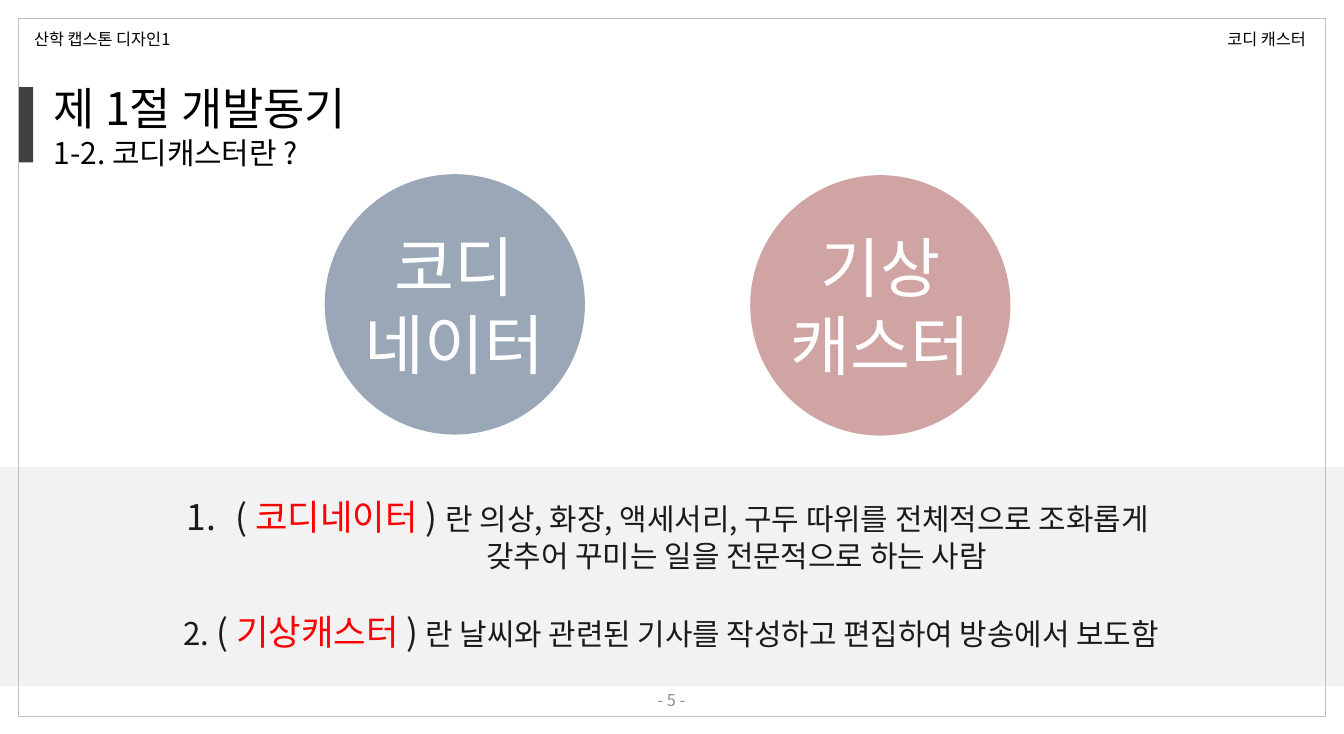
"""Builds the slide that explains what the Codi Caster is."""
from dataclasses import dataclass

from lxml import etree
from pptx import Presentation
from pptx.dml.color import RGBColor
from pptx.enum.shapes import MSO_SHAPE
from pptx.enum.text import MSO_ANCHOR, PP_ALIGN
from pptx.oxml.ns import qn
from pptx.util import Inches, Pt

RECT, OVAL = MSO_SHAPE.RECTANGLE, MSO_SHAPE.OVAL
LEFT, CENTER = PP_ALIGN.LEFT, PP_ALIGN.CENTER
TOP, MIDDLE = MSO_ANCHOR.TOP, MSO_ANCHOR.MIDDLE

WHITE = RGBColor(0xFF, 0xFF, 0xFF)
BLACK = RGBColor(0x00, 0x00, 0x00)
INK = RGBColor(0x1A, 0x1A, 0x1A)
RED = RGBColor(0xFF, 0x00, 0x00)
PALE = RGBColor(0xF2, 0xF2, 0xF2)
DARK = RGBColor(0x40, 0x40, 0x40)
SILVER = RGBColor(0xBF, 0xBF, 0xBF)
GRAY = RGBColor(0x8C, 0x8C, 0x8C)
NAVY = RGBColor(0x25, 0x40, 0x61)
WINE = RGBColor(0x95, 0x37, 0x35)

FONT = "Noto Sans CJK KR"
WIDTH, HEIGHT = Inches(13.74), Inches(7.5)
COL, ROW = WIDTH / 100, HEIGHT / 100


@dataclass
class Area:
    col: float
    row: float
    cols: float
    rows: float

    def box(self) -> tuple[int, int, int, int]:
        return (int(self.col * COL), int(self.row * ROW),
                int(self.cols * COL), int(self.rows * ROW))


@dataclass
class Span:
    text: str
    size: float
    color: RGBColor = BLACK


@dataclass
class Line:
    spans: list[Span]
    align: PP_ALIGN = LEFT
    before: float = 0
    margin: float = 0
    number: bool = False


@dataclass
class Block:
    area: Area
    lines: list[Line]
    anchor: MSO_ANCHOR = TOP


@dataclass
class Disc:
    area: Area
    color: RGBColor
    alpha: int
    words: list[str]


def write(frame, lines: list[Line]) -> None:
    for i, line in enumerate(lines):
        para = frame.add_paragraph() if i else frame.paragraphs[0]
        para.alignment = line.align
        para.space_before = Pt(line.before)
        props = para._p.get_or_add_pPr()
        if line.margin:
            props.set("marL", str(Inches(line.margin)))
            props.set("indent", str(-Inches(line.margin) if line.number else 0))
        if line.number:
            etree.SubElement(props, qn("a:buFont"), typeface="+mj-lt")
            etree.SubElement(props, qn("a:buAutoNum"), type="arabicPeriod")
        for span in line.spans:
            run = para.add_run()
            run.text = span.text
            run.font.size = Pt(span.size)
            run.font.color.rgb = span.color
            run.font.name = FONT
            etree.SubElement(run._r.get_or_add_rPr(), qn("a:ea"), typeface=FONT)


def add_shape(slide, kind: MSO_SHAPE, area: Area, fill: RGBColor | None = None,
              edge: RGBColor | None = None):
    shape = slide.shapes.add_shape(kind, *area.box())
    shape.shadow.inherit = False
    if fill is None:
        shape.fill.background()
    else:
        shape.fill.solid()
        shape.fill.fore_color.rgb = fill
    if edge is None:
        shape.line.fill.background()
    else:
        shape.line.color.rgb = edge
        shape.line.width = Pt(1)
    return shape


def add_disc(slide, disc: Disc) -> None:
    shape = add_shape(slide, OVAL, disc.area, disc.color)
    tint = shape._element.spPr.find(qn("a:solidFill"))[0]
    etree.SubElement(tint, qn("a:alpha"), val=str(disc.alpha * 1000))
    frame = shape.text_frame
    frame.word_wrap = False
    frame.vertical_anchor = MIDDLE
    write(frame, [Line([Span(word, 48, WHITE)], CENTER) for word in disc.words])


def add_block(slide, block: Block) -> None:
    frame = slide.shapes.add_textbox(*block.area.box()).text_frame
    frame.word_wrap = True
    frame.vertical_anchor = block.anchor
    write(frame, block.lines)


DISCS = [
    Disc(Area(24.16, 23.73, 19.36, 35.47), NAVY, 46, ["코디", "네이터"]),
    Disc(Area(55.82, 23.87, 19.36, 35.47), WINE, 45, ["기상", "캐스터"]),
]

TERMS = [
    Line([Span("( ", 26, INK), Span("코디네이터 ", 26, RED), Span(") ", 26, INK),
          Span("란 의상, 화장, 액세서리, 구두 따위를 전체적으로 조화롭게 ", 22, INK)],
         CENTER, margin=0.5, number=True),
    Line([Span("갖추어 꾸미는 일을 전문적으로 하는 사람", 22, INK)], CENTER, margin=1.34),
    Line([Span("2. ", 23, INK), Span("( ", 26, INK), Span("기상캐스터 ", 26, RED),
          Span(")", 26, INK),
          Span(" 란 날씨와 관련된 기사를 작성하고 편집하여 방송에서 보도함", 22, INK)],
         CENTER, before=27),
]

BLOCKS = [
    Block(Area(4.51, 66.8, 90.83, 22.8), TERMS),
    Block(Area(34.13, 92.67, 31.66, 5.33),
          [Line([Span("- 5 -", 12, GRAY)], CENTER)], MIDDLE),
    Block(Area(3.28, 10.4, 55.24, 13.47),
          [Line([Span("제 1절 개발동기", 33)]),
           Line([Span("1-2. 코디캐스터란 ?", 22)])]),
    Block(Area(90.61, 3.33, 8.95, 4), [Line([Span("코디 캐스터", 12)])]),
    Block(Area(1.82, 3.33, 16, 4), [Line([Span("산학 캡스톤 디자인1", 12)])]),
]


def main() -> None:
    deck = Presentation()
    deck.slide_width, deck.slide_height = WIDTH, HEIGHT
    slide = deck.slides.add_slide(deck.slide_layouts[6])
    add_shape(slide, RECT, Area(0, 63.6, 100, 29.87), PALE)
    add_shape(slide, RECT, Area(1.38, 11.87, 1.09, 10.27), DARK)
    add_shape(slide, RECT, Area(1.38, 2.53, 97.23, 95.07), edge=SILVER)
    for disc in DISCS:
        add_disc(slide, disc)
    for block in BLOCKS:
        add_block(slide, block)
    deck.save("out.pptx")


if __name__ == "__main__":
    main()
